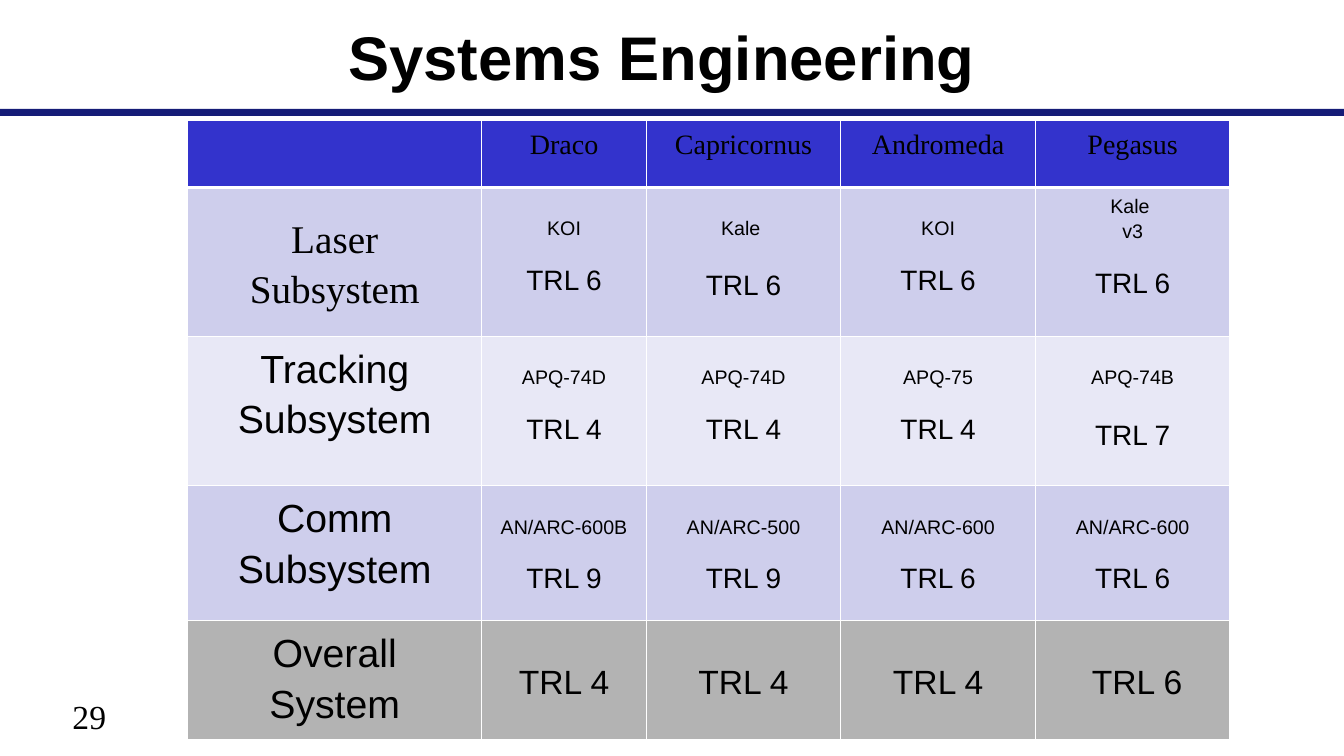
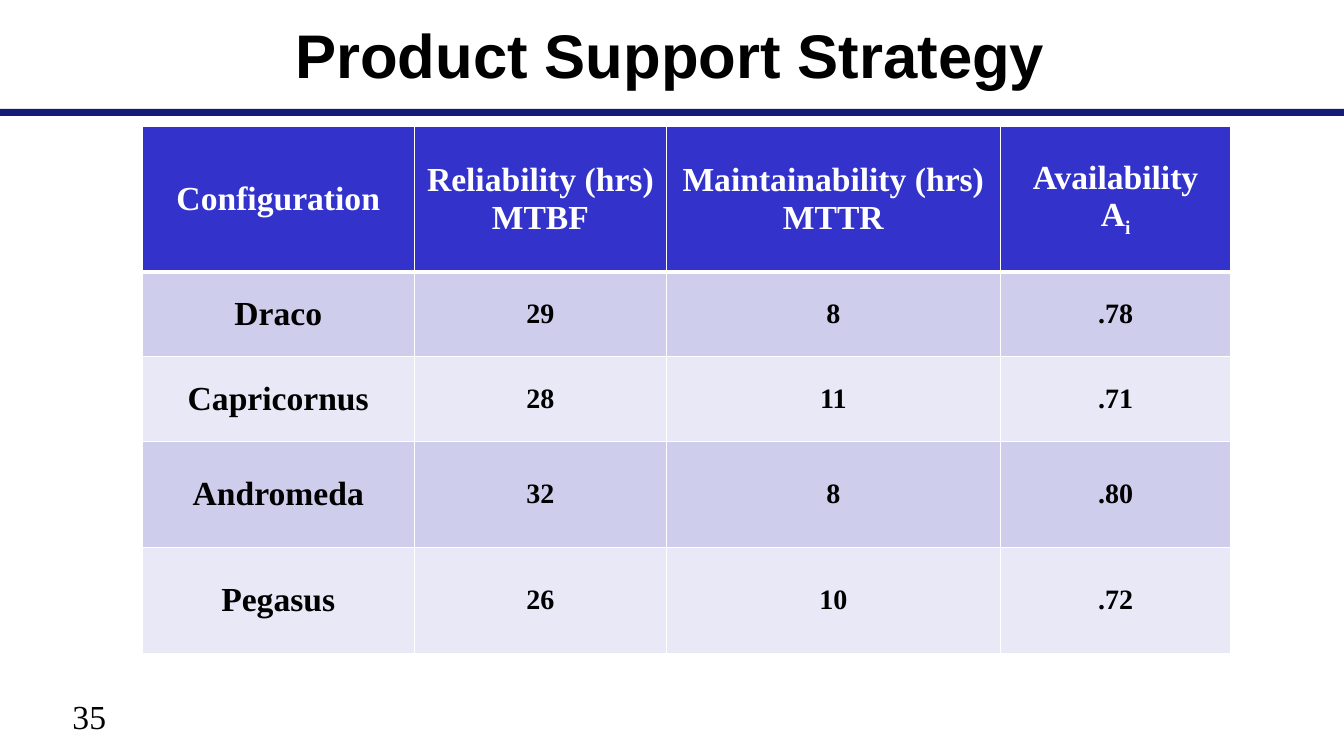
from dataclasses import dataclass

from lxml import etree
from pptx import Presentation
from pptx.dml.color import RGBColor
from pptx.enum.shapes import MSO_SHAPE
from pptx.enum.text import MSO_ANCHOR, MSO_AUTO_SIZE, PP_ALIGN
from pptx.oxml.ns import qn
from pptx.util import Inches, Pt

CENTER = PP_ALIGN.CENTER
TOP, MIDDLE = MSO_ANCHOR.TOP, MSO_ANCHOR.MIDDLE
NO_AUTOFIT = MSO_AUTO_SIZE.NONE
RECTANGLE = MSO_SHAPE.RECTANGLE

SANS, SERIF = "Arial", "Times New Roman"
BLACK, WHITE, NAVY = "000000", "FFFFFF", "151C77"
HEADER, GRAY = "3333CC", "B3B3B3"
BANDS = ["CECEEC", "E8E8F6"]
TITLE_ONLY = 5
TEAMS = ["Draco", "Capricornus", "Andromeda", "Pegasus"]
MARGIN = 0.05        # top margin of a cell, inches
LOWERED = 0.27       # top margin of cells whose text starts lower
GAP, WIDE_GAP = 14.5, 18.5  # points between a model and its readiness level


@dataclass
class Line:
    text: str
    size: int
    font: str = SANS
    color: str = BLACK
    bold: bool = False
    before: float = 0
    subscript: str = ""


def rgb(value):
    return RGBColor.from_string(value)


def style(para, size, font, color, bold=False):
    para.font.size = Pt(size)
    para.font.name = font
    para.font.color.rgb = rgb(color)
    para.font.bold = bold


def add_page(deck, title, number, title_top):
    """Add a slide with its title, rule and page number."""
    page = deck.slides.add_slide(deck.slide_layouts[TITLE_ONLY])
    heading = page.shapes.title
    heading.left, heading.top = Inches(2.69), Inches(title_top)
    heading.width, heading.height = Inches(7.92), Inches(0.92)
    frame = heading.text_frame
    frame.text = title
    frame.auto_size = NO_AUTOFIT
    frame.vertical_anchor = MIDDLE
    frame.paragraphs[0].alignment = CENTER
    style(frame.paragraphs[0], 44, SANS, BLACK, True)

    rule = page.shapes.add_shape(RECTANGLE, 0, Inches(1.08),
                                 deck.slide_width, Inches(0.07))
    rule.shadow.inherit = False
    rule.fill.solid()
    rule.fill.fore_color.rgb = rgb(NAVY)
    rule.line.fill.background()

    box = page.shapes.add_textbox(Inches(0.62), Inches(6.85),
                                  Inches(0.89), Inches(0.5))
    box.text_frame.word_wrap = True
    box.text_frame.text = str(number)
    style(box.text_frame.paragraphs[0], 24, SERIF, BLACK)
    return page


def add_grid(page, left, top, widths, heights):
    table = page.shapes.add_table(
        len(heights), len(widths), Inches(left), Inches(top),
        Inches(sum(widths)), Inches(sum(heights))).table
    table.horz_banding = False
    for column, width in zip(table.columns, widths):
        column.width = Inches(width)
    for row, height in zip(table.rows, heights):
        row.height = Inches(height)
    return table


def set_borders(cell, bottom):
    properties = cell._tc.get_or_add_tcPr()
    for side, width in (("lnL", 1), ("lnR", 1), ("lnT", 1), ("lnB", bottom)):
        line = etree.SubElement(properties, qn(f"a:{side}"), w=str(Pt(width)))
        fill = etree.SubElement(line, qn("a:solidFill"))
        etree.SubElement(fill, qn("a:srgbClr"), val=WHITE)


def fill_cell(cell, color, lines, anchor=MIDDLE, margin=MARGIN, spacing=1.0):
    set_borders(cell, 3 if color == HEADER else 1)
    cell.fill.solid()
    cell.fill.fore_color.rgb = rgb(color)
    cell.vertical_anchor = anchor
    cell.margin_top = Inches(margin)
    frame = cell.text_frame
    for index, line in enumerate(lines):
        para = frame.add_paragraph() if index else frame.paragraphs[0]
        para.alignment = CENTER
        para.line_spacing = spacing
        para.space_before = Pt(line.before)
        style(para, line.size, line.font, line.color, line.bold)
        para.add_run().text = line.text
        if line.subscript:
            span = para.add_run()
            span.text = line.subscript
            span._r.get_or_add_rPr().set("baseline", "-25000")


def add_readiness_table(page):
    table = add_grid(page, 1.86, 1.19, [2.92, 1.63, 1.93, 1.93, 1.93],
                     [0.67, 1.48, 1.48, 1.34, 1.13])

    def put(row, column, color, lines, anchor=TOP, margin=MARGIN):
        fill_cell(table.cell(row, column), color, lines, anchor, margin, 1.15)

    put(0, 0, HEADER, [])
    for column, team in enumerate(TEAMS, 1):
        put(0, column, HEADER, [Line(team, 20, SERIF)])

    # Each entry: model lines, readiness level, gap between them
    subsystems = [
        (["Laser", "Subsystem"], SERIF, MIDDLE,
         [(["KOI"], 6, GAP), (["Kale "], 6, WIDE_GAP),
          (["KOI"], 6, GAP), (["Kale ", "v3"], 6, GAP)]),
        (["Tracking Subsystem"], SANS, TOP,
         [(["APQ-74D"], 4, GAP), (["APQ-74D"], 4, GAP),
          (["APQ-75"], 4, GAP), (["APQ-74B"], 7, WIDE_GAP)]),
        (["Comm", "Subsystem"], SANS, TOP,
         [(["AN/ARC-600B"], 9, GAP), (["AN/ARC-500"], 9, GAP),
          (["AN/ARC-600"], 6, GAP), (["AN/ARC-600"], 6, GAP)]),
    ]
    for row, (label, font, anchor, entries) in enumerate(subsystems, 1):
        color = BANDS[(row - 1) % 2]
        put(row, 0, color, [Line(text, 28, font) for text in label], anchor)
        for column, (models, level, gap) in enumerate(entries, 1):
            lines = [Line(model, 14) for model in models]
            lines.append(Line(f"TRL {level}", 20, before=gap))
            put(row, column, color, lines,
                margin=LOWERED if len(models) == 1 else MARGIN)

    put(4, 0, GRAY, [Line("Overall", 28), Line("System", 28)])
    for column, text in enumerate(["TRL 4", "TRL 4", "TRL 4", " TRL 6"], 1):
        put(4, column, GRAY, [Line(text, 24)], MIDDLE)


def add_support_table(page):
    table = add_grid(page, 1.41, 1.25, [2.7, 2.5, 3.31, 2.29],
                     [1.45, 0.84, 0.84, 1.05, 1.05])
    headings = [[("Configuration", "")],
                [("Reliability (hrs)", ""), ("MTBF", "")],
                [("Maintainability (hrs)", ""), ("MTTR", "")],
                [("Availability", ""), ("A", "i")]]
    for column, heading in enumerate(headings):
        fill_cell(table.cell(0, column), HEADER,
                  [Line(text, 24, SERIF, WHITE, True, subscript=subscript)
                   for text, subscript in heading])

    figures = [("29", "8", ".78"), ("28", "11", ".71"),
               ("32", "8", ".80"), ("26", "10", ".72")]
    for row, (team, values) in enumerate(zip(TEAMS, figures), 1):
        for column, text in enumerate((team, *values)):
            size = 20 if column else 24
            fill_cell(table.cell(row, column), BANDS[(row - 1) % 2],
                      [Line(text, size, SERIF, bold=True)])


def main():
    deck = Presentation()
    deck.slide_width, deck.slide_height = Inches(13.33), Inches(7.5)
    add_readiness_table(add_page(deck, "Systems Engineering ", 29, 0.09))
    add_support_table(add_page(deck, "Product Support Strategy", 35, 0.07))
    deck.save("out.pptx")


if __name__ == "__main__":
    main()
